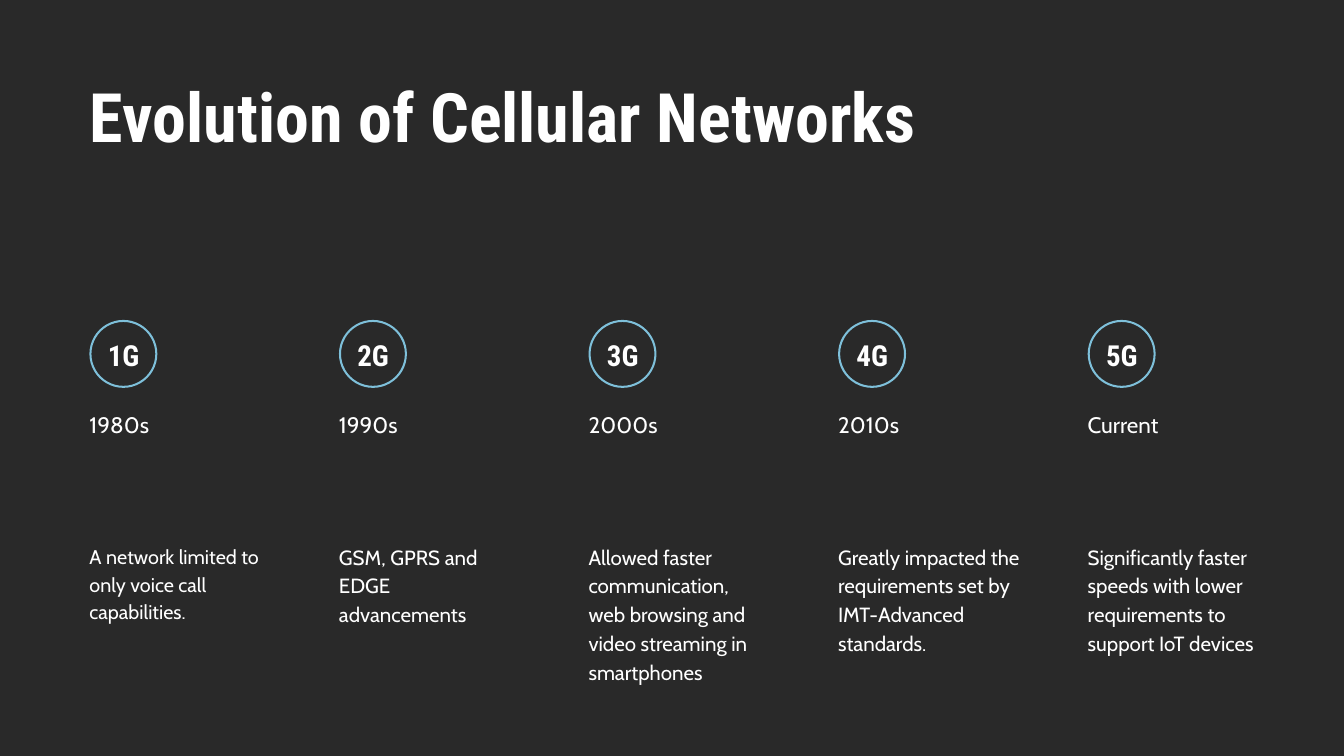
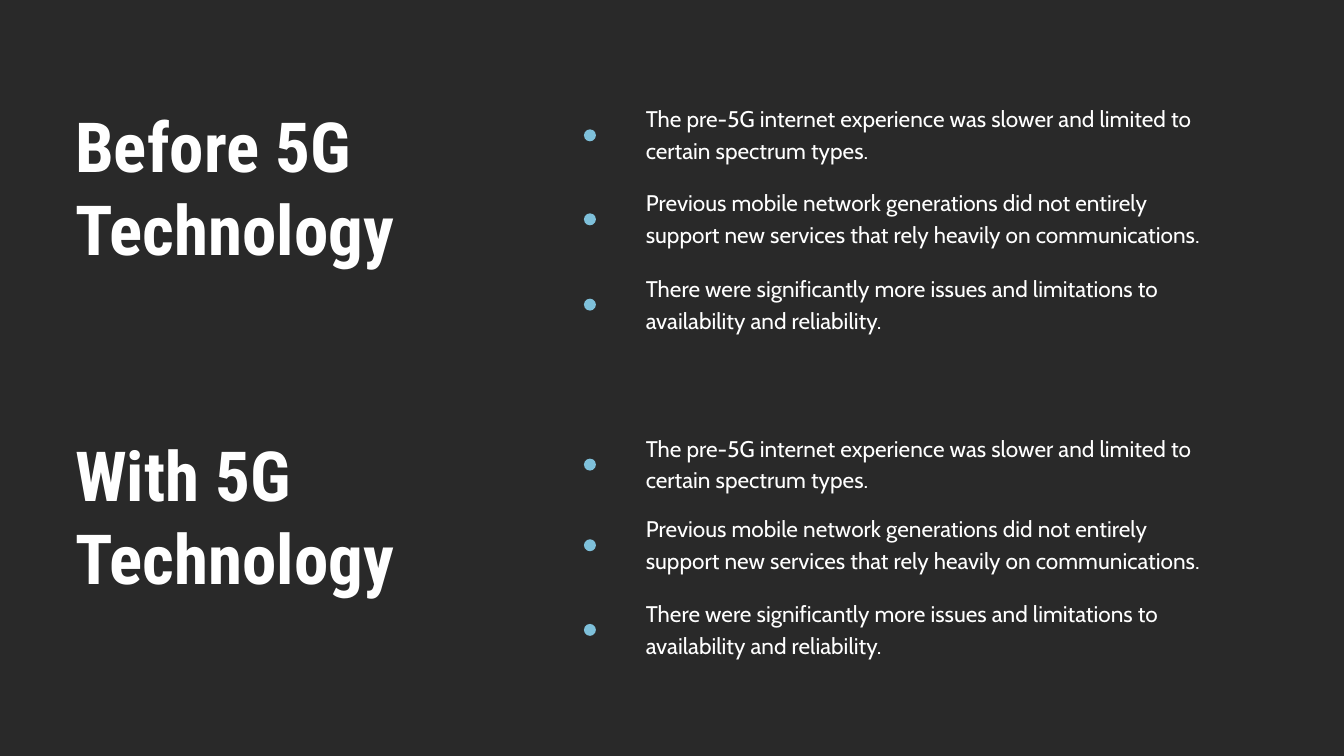
from dataclasses import dataclass

from pptx import Presentation
from pptx.dml.color import RGBColor
from pptx.enum.shapes import MSO_SHAPE
from pptx.enum.text import MSO_ANCHOR, MSO_AUTO_SIZE, PP_ALIGN
from pptx.util import Pt

DONUT, OVAL = MSO_SHAPE.DONUT, MSO_SHAPE.OVAL
TOP, FIXED = MSO_ANCHOR.TOP, MSO_AUTO_SIZE.NONE
LEFT, CENTER = PP_ALIGN.LEFT, PP_ALIGN.CENTER

COLORS = {"dark": "292929", "white": "FFFFFF", "blue": "7EC0DA"}
HEAD, BODY = "Roboto Condensed", "Cabin"
TITLE_ONLY = 5


@dataclass
class Style:
    """Font, size, line height, weight and alignment of a text."""
    font: str
    size: float
    line: float
    bold: bool = False
    align: PP_ALIGN = LEFT


TITLE = Style(HEAD, 73, 87.6, True)
SIDE = Style(HEAD, 74, 88.8, True)
BADGE = Style(HEAD, 31, 43.4, True, CENTER)
DATE = Style(BODY, 24, 38.4)
NOTE = Style(BODY, 22, 30.8)
SMALL = Style(BODY, 21.2, 29.8)
POINT = Style(BODY, 24.2, 34)

STAGES = [
    ("1G", "1980s", "A network limited to only voice call capabilities.", SMALL, 193.7),
    ("2G", "1990s", "GSM, GPRS and EDGE advancements", NOTE, 193.7),
    ("3G", "2000s", "Allowed faster communication, web browsing and video "
     "streaming in smartphones", NOTE, 193.7),
    ("4G", "2010s", "Greatly impacted the requirements set by IMT-Advanced "
     "standards.", NOTE, 203),
    ("5G", "Current", "Significantly faster speeds with lower requirements to "
     "support IoT devices", NOTE, 193.7),
]
POINTS = [
    "The pre-5G internet experience was slower and limited to certain spectrum types.",
    "Previous mobile network generations did not entirely support new services "
    "that rely heavily on communications.",
    "There were significantly more issues and limitations to availability and "
    "reliability.",
]


def color(name):
    """Return a palette colour."""
    return RGBColor.from_string(COLORS[name])


def place(shape, x, y, w, h):
    """Set the box of a shape in points."""
    shape.left, shape.top, shape.width, shape.height = map(Pt, (x, y, w, h))


def write(shape, text, style):
    """Fill a shape with one styled paragraph and no margins."""
    frame = shape.text_frame
    frame.margin_left = frame.margin_top = 0
    frame.margin_right = frame.margin_bottom = 0
    frame.word_wrap = True
    frame.auto_size = FIXED
    frame.vertical_anchor = TOP
    frame.text = text
    para = frame.paragraphs[0]
    para.alignment = style.align
    para.line_spacing = Pt(style.line)
    para.space_before = Pt(0)
    font = para.font
    font.name, font.size, font.bold = style.font, Pt(style.size), style.bold
    font.color.rgb = color("white")


def add_text(slide, text, style, x, y, w, h):
    """Add a text box."""
    write(slide.shapes.add_textbox(*map(Pt, (x, y, w, h))), text, style)


def add_title(slide, text, style, x, y, w, h):
    """Move and fill the title placeholder."""
    place(slide.shapes.title, x, y, w, h)
    write(slide.shapes.title, text, style)


def add_mark(slide, kind, x, y, size):
    """Add a plain blue round mark."""
    mark = slide.shapes.add_shape(kind, *map(Pt, (x, y, size, size)))
    mark.shadow.inherit = False
    mark.fill.solid()
    mark.fill.fore_color.rgb = color("blue")
    mark.line.fill.background()
    return mark


def add_stage(slide, x, y, stage):
    """Add one network generation as a column."""
    name, date, note, style, width = stage
    ring = add_mark(slide, DONUT, x, y, 72.8)
    ring.adjustments[0] = 0.03
    add_text(slide, name, BADGE, x + 12.5, y + 12.2, 48.2, 42.5)
    add_text(slide, date, DATE, x, y + 87.8, 193.7, 36.7)
    add_text(slide, note, style, x, y + 236.2, width, 120)


def add_points(slide, x, y, tops):
    """Add the dotted points at the given offsets below y."""
    for text, top in zip(POINTS, tops):
        add_mark(slide, OVAL, x, y + top + 30.6, 12.8)
        add_text(slide, text, POINT, x + 66.2, y + top, 618.5, 66.2)


def build_history(slide):
    """Build the row of network generations."""
    add_title(slide, "Evolution of Cellular Networks", TITLE, 96.4, 79.9, 1212, 87.8)
    for i, stage in enumerate(STAGES):
        add_stage(slide, 95.8 + i * 267.4, 342.8, stage)


def build_compare(slide):
    """Build the two blocks before and with 5G."""
    blocks = [
        (add_title, "Before 5G Technology", 108, (0, 90, 181.4)),
        (add_text, "With 5G Technology", 460.8, (0, 86.4, 177.1)),
    ]
    for add_head, text, y, tops in blocks:
        add_head(slide, text, SIDE, 80.6, y + 2.9, 388, 177.8)
        add_points(slide, 625.7, y, tops)


def main():
    """Build and save the slides."""
    deck = Presentation()
    deck.slide_width, deck.slide_height = Pt(1440), Pt(810)
    fill = deck.slide_master.background.fill
    fill.solid()
    fill.fore_color.rgb = color("dark")
    for build in (build_history, build_compare):
        build(deck.slides.add_slide(deck.slide_layouts[TITLE_ONLY]))
    deck.save("out.pptx")


if __name__ == "__main__":
    main()
